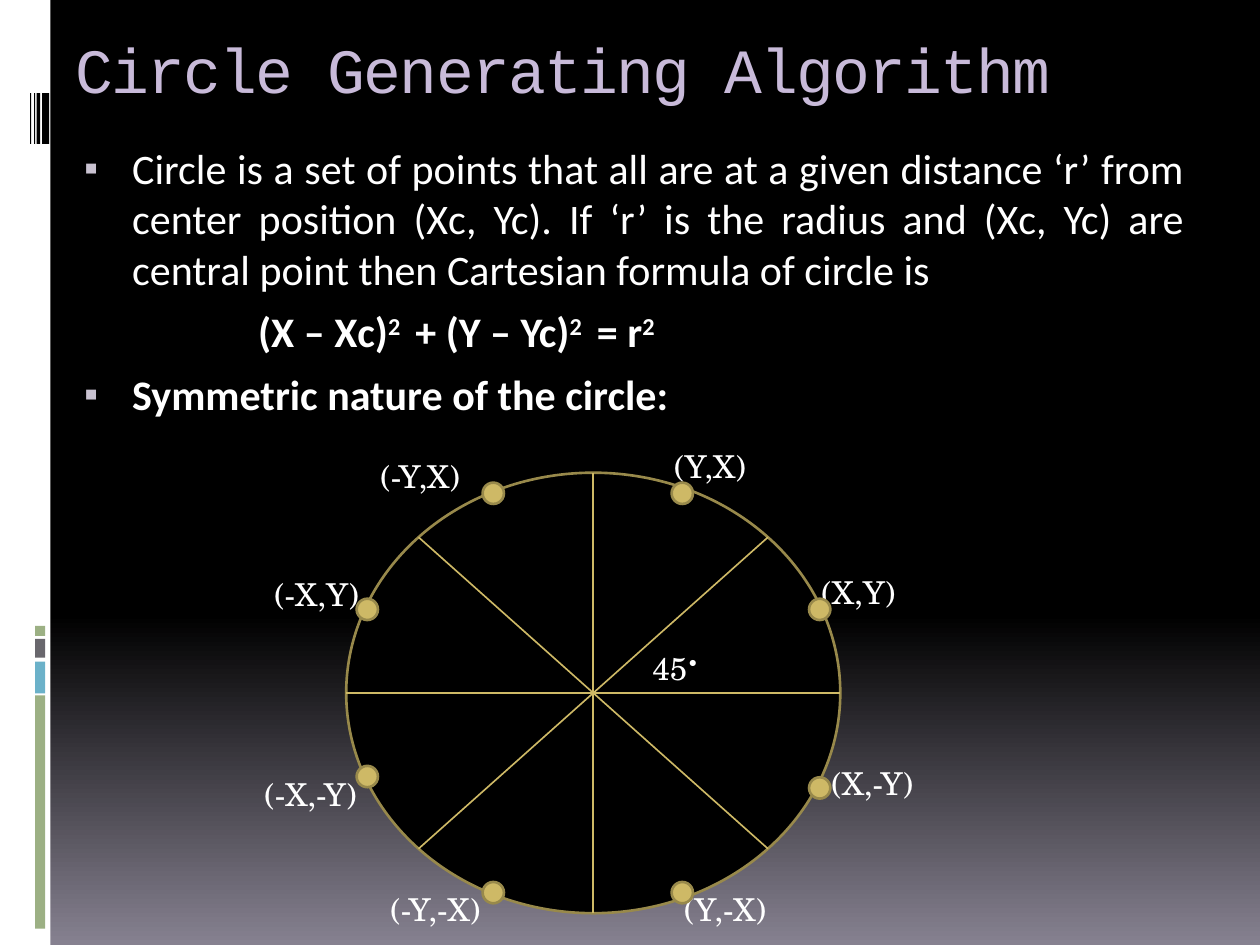
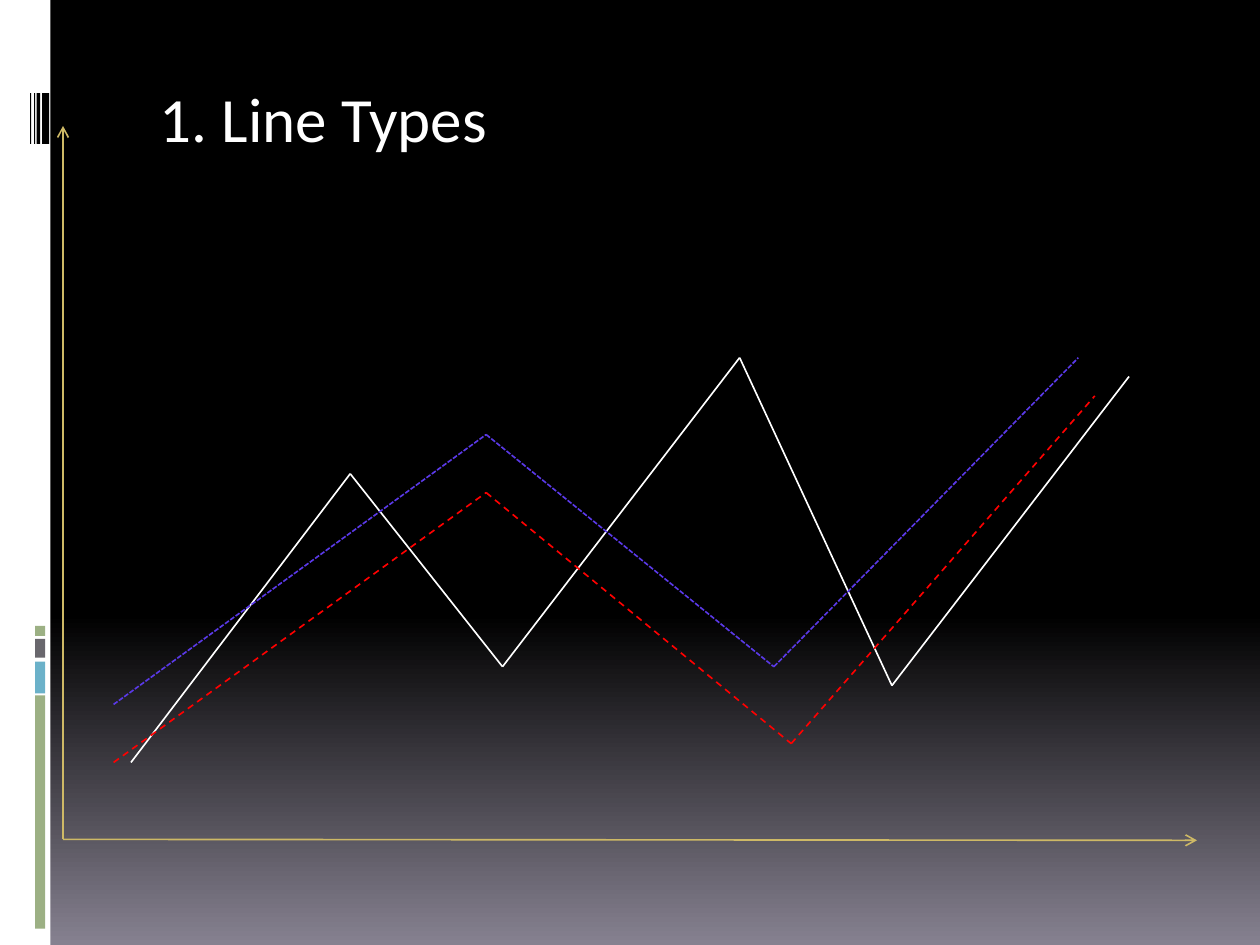
"""Builds two slides on circle symmetry and line types."""
from copy import deepcopy
from itertools import pairwise
from math import cos, pi, sin

from lxml import etree
from pptx import Presentation
from pptx.dml.color import RGBColor
from pptx.enum.dml import MSO_LINE
from pptx.enum.shapes import MSO_CONNECTOR, MSO_SHAPE
from pptx.enum.text import MSO_ANCHOR, PP_ALIGN
from pptx.oxml.ns import qn
from pptx.util import Cm, Pt

RECT = MSO_SHAPE.RECTANGLE
DISC = MSO_SHAPE.FLOWCHART_CONNECTOR
STRAIGHT = MSO_CONNECTOR.STRAIGHT
DASH = MSO_LINE.DASH
DOTS = MSO_LINE.SQUARE_DOT
LEFT = PP_ALIGN.LEFT
JUST = PP_ALIGN.JUSTIFY
TOP = MSO_ANCHOR.TOP
MID = MSO_ANCHOR.MIDDLE

SANS, MONO, SERIF = "Calibri", "Courier New", "TeX Gyre Schola"
HUES = {
    "black": "000000", "white": "FFFFFF", "haze": "868190",
    "green": "9CB084", "sky": "6BB1C9", "slate": "69676D",
    "lilac": "C8BAD9", "bullet": "C9C2D1", "gold": "CEB966",
    "bronze": "98894B", "blue": "5A39E7", "red": "FF0000",
}
BANDS = [
    ("white", 0, 0, 1.02, 19.05),
    ("green", 0.71, 14.02, 0.2, 4.7),
    ("sky", 0.71, 13.34, 0.2, 0.64),
    ("slate", 0.71, 12.88, 0.2, 0.38),
    ("green", 0.71, 12.62, 0.2, 0.2),
]
BARS = [(0.61, 0.02), (0.69, 0.02), (0.74, 0.07), (0.85, 0.14)]
LABELS = [
    ("(X,Y)", 16.31, 11.43, 2.11), ("(Y,X)", 13.34, 8.89, 2.11),
    ("(-X,Y)", 5.28, 11.46, 2.34), ("(-Y,X)", 7.42, 9.09, 2.54),
    ("(-X,-Y)", 5.08, 15.49, 2.74), ("(X,-Y)", 16.51, 15.27, 2.34),
    ("(-Y,-X)", 7.62, 17.81, 2.54), ("(Y,-X)", 13.54, 17.81, 2.54),
]
DOT = 0.43
POINTS = [
    (16.31, 12.07), (13.54, 9.73), (9.73, 9.73), (7.19, 12.07),
    (7.19, 15.44), (9.73, 17.78), (13.54, 17.78), (16.31, 15.67),
]
PATHS = [
    ("white", None, [(2.64, 15.37), (7.06, 9.55), (10.13, 13.44),
                     (14.91, 7.21), (17.98, 13.82), (22.76, 7.59)]),
    ("blue", DOTS, [(2.29, 14.2), (9.8, 8.76), (15.6, 13.44), (21.74, 7.21)]),
    ("red", DASH, [(2.29, 15.37), (9.8, 9.93), (15.95, 14.99), (22.07, 7.98)]),
]


def rgb(hue):
    """Return the named colour."""
    return RGBColor.from_string(HUES[hue])


def write(para, text, font=SANS, size=24, hue="white", bold=False, rise=0, track=0):
    """Add a formatted run to a paragraph."""
    run = para.add_run()
    run.text = text
    run.font.name = font
    run.font.size = Pt(size)
    run.font.bold = bold
    run.font.color.rgb = rgb(hue)
    props = run._r.get_or_add_rPr()
    if rise:
        props.set("baseline", str(rise * 1000))
    if track:
        props.set("spc", str(track * 100))


def place(shape, box):
    """Move a shape to a box given in centimetres."""
    shape.left, shape.top, shape.width, shape.height = map(Cm, box)


def form(slide, kind, box, fill, edge=None):
    """Add a filled preset shape."""
    shape = slide.shapes.add_shape(kind, *map(Cm, box))
    shape.shadow.inherit = False
    shape.fill.solid()
    shape.fill.fore_color.rgb = rgb(fill)
    if edge:
        shape.line.color.rgb = rgb(edge)
        shape.line.width = Pt(1.5)
    else:
        shape.line.fill.background()
    return shape


def link(slide, start, end, hue="gold", dash=None, arrow=False):
    """Add a straight line, with an arrowhead at its end if asked."""
    line = slide.shapes.add_connector(STRAIGHT, *map(Cm, (*start, *end)))
    line.line.color.rgb = rgb(hue)
    line.line.width = Pt(0.94)
    if dash:
        line.line.dash_style = dash
    props = line.element.spPr
    if arrow:
        etree.SubElement(props.find(qn("a:ln")), qn("a:tailEnd"), type="arrow")
    etree.SubElement(props, qn("a:effectLst"))


def label(slide, text, left, top, width):
    """Add a small text box and return its paragraph."""
    box = slide.shapes.add_textbox(*map(Cm, (left, top, width, 1.02)))
    box.text_frame.word_wrap = True
    para = box.text_frame.paragraphs[0]
    write(para, text, font=SERIF, size=18)
    return para


def head(slide, text, box, anchor, **style):
    """Fill and place the title."""
    title = slide.shapes.title
    place(title, box)
    title.text_frame.vertical_anchor = anchor
    para = title.text_frame.paragraphs[0]
    para.alignment = LEFT
    write(para, text, size=36, **style)


def item(para, parts, bullet=True, first=False):
    """Format a list paragraph and write its (text, style) parts."""
    props = para._p.get_or_add_pPr()
    props.set("marL", str(Cm(1.14 if bullet else 3.68)))
    props.set("indent", str(Cm(-0.97 if bullet else 0)))
    if bullet:
        tint = etree.SubElement(props, qn("a:buClr"))
        etree.SubElement(tint, qn("a:srgbClr"), val=HUES["bullet"])
        etree.SubElement(props, qn("a:buSzPct"), val="95000")
        etree.SubElement(props, qn("a:buChar"), char="▪")
    else:
        etree.SubElement(props, qn("a:buNone"))
    para.alignment = JUST
    para.space_before = Pt(0 if first else 7)
    for text, style in parts:
        write(para, text, **style)


def theme(deck, slide):
    """Give the master its gradient and side bands, drawn by way of a slide."""
    master = deck.slide_master
    fill = master.background.fill
    fill.gradient()
    fill.gradient_angle = 270
    first = master.element.xpath(".//p:bg//a:gs")[0]
    first.addnext(deepcopy(first))
    ramp = [(0, "black"), (0.65, "black"), (1, "haze")]
    for stop, (spot, hue) in zip(fill.gradient_stops, ramp):
        stop.position = spot
        stop.color.rgb = rgb(hue)
    bars = [("black", left, 1.88, width, 1.02) for left, width in BARS]
    for hue, *box in BANDS + bars:
        master.shapes.element.append(form(slide, RECT, box, hue).element)


def circle(slide):
    """Draw the circle with its spokes, points and labels."""
    mid_x, mid_y, rad_x, rad_y = 11.96, 13.97, 4.98, 4.44
    form(slide, DISC, (mid_x - rad_x, mid_y - rad_y, 2 * rad_x, 2 * rad_y),
         "black", "bronze")
    for step in range(4):
        run, rise = rad_x * cos(step * pi / 4), rad_y * sin(step * pi / 4)
        link(slide, (mid_x - run, mid_y + rise), (mid_x + run, mid_y - rise))
    for spot in LABELS:
        label(slide, *spot)
    for left, top in POINTS:
        form(slide, DISC, (left, top, DOT, DOT), "gold", "bronze")
    angle = label(slide, "45", 12.9, 12.95, 2.11)
    write(angle, "•", font=SERIF, size=18, rise=30)


def symmetry(slide):
    """Fill the slide on the circle."""
    head(slide, "Circle Generating Algorithm", (1.27, 0.43, 22.86, 1.91), MID,
         font=MONO, hue="lilac", track=-1)
    body = slide.placeholders[1]
    place(body, (1.27, 2.74, 22.86, 15.04))
    frame = body.text_frame
    bold, power = {"bold": True}, {"bold": True, "rise": 30}
    item(frame.paragraphs[0], [(
        "Circle is a set of points that all are at a given distance ‘r’ from "
        "center position (Xc, Yc). If ‘r’ is the radius and (Xc, Yc) are "
        "central point then Cartesian formula of circle is", {})], first=True)
    item(frame.add_paragraph(), [
        ("(X – Xc)", bold), ("2 ", power), (" + (Y – Yc)", bold),
        ("2 ", power), (" = r", bold), ("2", power)], bullet=False)
    item(frame.add_paragraph(), [("Symmetric nature of the circle:", bold)])
    circle(slide)


def types(slide):
    """Fill the slide on line types."""
    zero = (1.27, 16.92)
    for end in [(1.27, 2.54), (24.13, 16.94)]:
        link(slide, zero, end, arrow=True)
    for hue, dash, spots in PATHS:
        for start, end in pairwise(spots):
            link(slide, start, end, hue, dash)
    head(slide, "1. Line Types", (2.97, 1.47, 19.05, 1.8), TOP)


def main():
    """Build and save the deck."""
    deck = Presentation()
    deck.slide_width, deck.slide_height = Cm(25.4), Cm(19.05)
    first = deck.slides.add_slide(deck.slide_layouts[1])
    theme(deck, first)
    symmetry(first)
    types(deck.slides.add_slide(deck.slide_layouts[5]))
    deck.save("out.pptx")


if __name__ == "__main__":
    main()
